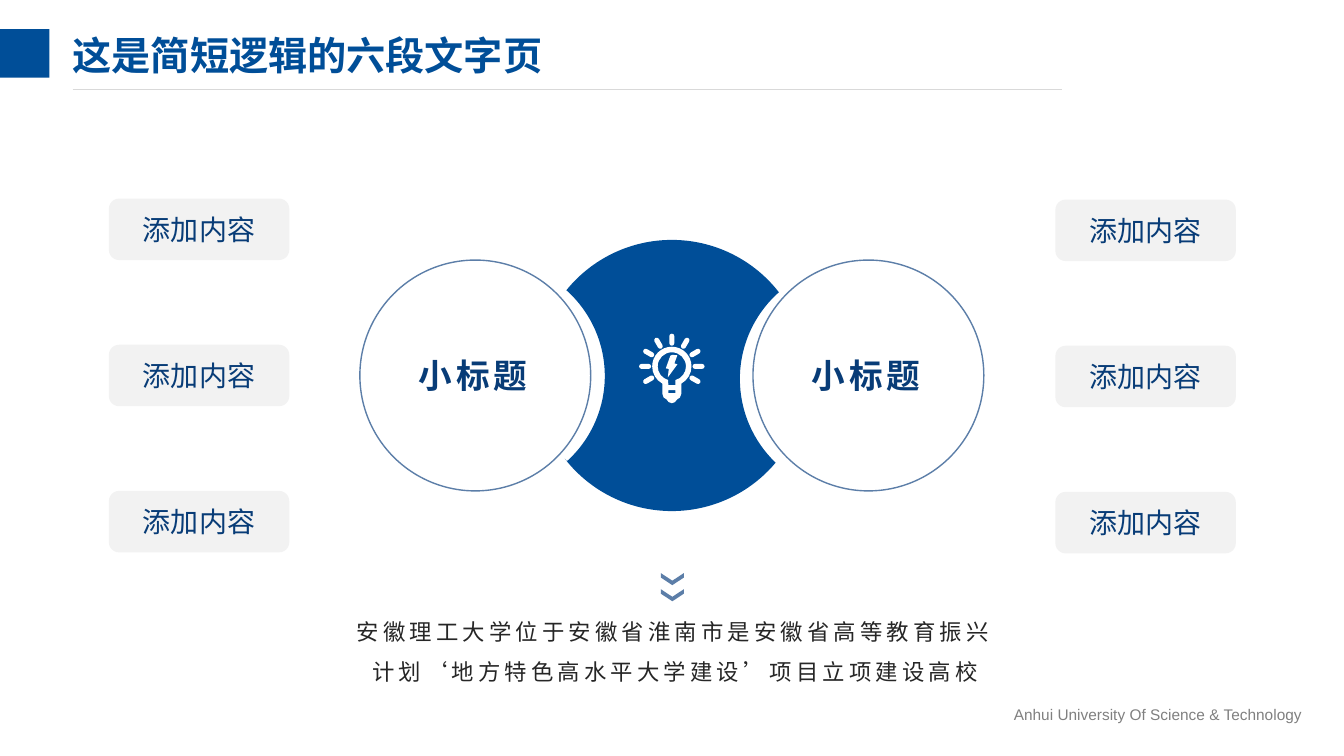
from dataclasses import dataclass
from math import acos, atan2, ceil, cos, degrees, floor, hypot, radians, sin, tan

from lxml import etree
from pptx import Presentation
from pptx.dml.color import RGBColor
from pptx.enum.shapes import MSO_CONNECTOR, MSO_SHAPE
from pptx.enum.text import MSO_ANCHOR, MSO_AUTO_SIZE, PP_ALIGN
from pptx.oxml.ns import qn
from pptx.util import Emu, Inches, Pt

SCALE = 9144  # EMU in one px, 100 px to the inch
RECT, ROUNDED = MSO_SHAPE.RECTANGLE, MSO_SHAPE.ROUNDED_RECTANGLE
OVAL, CHEVRON = MSO_SHAPE.OVAL, MSO_SHAPE.CHEVRON
STRAIGHT = MSO_CONNECTOR.STRAIGHT
TOP, MIDDLE = MSO_ANCHOR.TOP, MSO_ANCHOR.MIDDLE
LEFT, CENTER = PP_ALIGN.LEFT, PP_ALIGN.CENTER
GROW, FIXED = MSO_AUTO_SIZE.SHAPE_TO_FIT_TEXT, MSO_AUTO_SIZE.NONE


@dataclass(frozen=True)
class Theme:
    blue: str = "004E98"
    navy: str = "083C77"
    steel: str = "5C7EA8"
    rule: str = "D9D9D9"
    pill: str = "F2F2F2"
    ink: str = "262626"
    gray: str = "808080"
    white: str = "FFFFFF"
    title_font: str = "Montserrat"
    chinese_font: str = "Noto Sans CJK SC"
    latin_font: str = "Arial"
    title_size: int = 28
    ring_size: int = 24
    pill_size: int = 20
    body_size: int = 16
    footer_size: int = 11


THEME = Theme()


def px(value):
    return Emu(round(value * SCALE))


def paint(shape, fill=None, line=None):
    shape.shadow.inherit = False
    if fill:
        shape.fill.solid()
        shape.fill.fore_color.rgb = RGBColor.from_string(fill)
    else:
        shape.fill.background()
    if line:
        shape.line.color.rgb = RGBColor.from_string(line)
        shape.line.width = Pt(1)
    else:
        shape.line.fill.background()
    return shape


def add_shape(page, kind, box, fill=None, line=None):
    return paint(page.shapes.add_shape(kind, *map(px, box)), fill, line)


def write(frame, text, font, size, color, bold=False, align=LEFT, spacing=None, tracking=0):
    para = frame.paragraphs[0]
    para.text = text
    para.alignment = align
    if spacing:
        para.line_spacing = spacing
    para.font.name = font
    para.font.size = Pt(size)
    para.font.bold = bold
    para.font.color.rgb = RGBColor.from_string(color)
    properties = para.font._rPr
    if tracking:
        properties.set("spc", str(tracking * 100))
    east_asian = etree.Element(qn("a:ea"), typeface=THEME.chinese_font)
    properties.find(qn("a:latin")).addnext(east_asian)


def add_text(page, box, text, font, size, color, inset=0, wrap=True, fit=GROW, anchor=TOP, **style):
    frame = page.shapes.add_textbox(*map(px, box)).text_frame
    frame.margin_left = frame.margin_right = px(2 * inset)
    frame.margin_top = frame.margin_bottom = px(inset)
    frame.word_wrap = wrap
    frame.auto_size = fit
    frame.vertical_anchor = anchor
    write(frame, text, font, size, color, **style)


def lines(*points):
    return [(point,) for point in points]


def arc(x, y, radius, start, end):
    """Curve steps cut at each quarter turn; degrees run clockwise from the right."""
    low, high = sorted((start, end))
    quarters = [90 * i for i in range(floor(low / 90) + 1, ceil(high / 90))]
    stops = sorted([start, *quarters, end], reverse=end < start)

    def at(angle, pull=0):
        c, s = cos(radians(angle)), sin(radians(angle))
        return x + radius * (c - pull * s), y + radius * (s + pull * c)

    steps = lines(at(start))
    for a, b in zip(stops, stops[1:]):
        pull = 4 / 3 * tan(radians(b - a) / 4)
        steps.append((at(a, pull), at(b, -pull), at(b)))
    return steps


def move(contour, x, y, angle=0):
    c, s = cos(radians(angle)), sin(radians(angle))
    return [tuple((x + a * c - b * s, y + a * s + b * c) for a, b in step) for step in contour]


def add_outline(page, contours, fill):
    """Contours are lists of steps: one point for a line, three for a curve."""
    contours = [[[(px(x), px(y)) for x, y in step] for step in contour] for contour in contours]
    builder = page.shapes.build_freeform(*contours[0][0][-1], scale=1.0)
    for index, contour in enumerate(contours):
        if index:
            builder.move_to(*contour[0][-1])
        builder.add_line_segments([step[-1] for step in contour[1:]], close=True)
    shape = paint(builder.convert_to_shape(), fill)
    segments = list(shape._element.iter(qn("a:lnTo")))
    steps = [step for contour in contours for step in contour[1:]]
    for segment, step in zip(segments, steps):
        if len(step) == 3:
            curve = etree.Element(qn("a:cubicBezTo"))
            for x, y in step:
                etree.SubElement(curve, qn("a:pt"), x=str(x - shape.left), y=str(y - shape.top))
            segment.getparent().replace(segment, curve)


def header(page, box, title):
    left, top, _, _ = box
    add_shape(page, RECT, (left - 74, top + 8, 51, 48), THEME.blue)
    rule = page.shapes.add_connector(
        STRAIGHT, px(left), px(top + 68), px(left + 982), px(top + 68))
    rule.line.color.rgb = RGBColor.from_string(THEME.rule)
    rule.line.width = Pt(0.5)
    etree.SubElement(rule._element.spPr, qn("a:effectLst"))
    add_text(page, box, title, THEME.title_font, THEME.title_size, THEME.blue,
             fit=FIXED, anchor=MIDDLE, bold=True, spacing=0.9)


def hub(page, box, bites):
    """A disc with a round bite taken from each side."""
    left, top, size, _ = box
    radius = size / 2
    x, y = left + radius, top + radius
    outline = []
    for bite_x, bite_y, bite_radius in bites:
        away = hypot(bite_x - x, bite_y - y)
        heading = degrees(atan2(bite_y - y, bite_x - x)) % 360
        half = degrees(acos((away**2 + radius**2 - bite_radius**2) / (2 * away * radius)))
        bite_half = degrees(acos((away**2 + bite_radius**2 - radius**2) / (2 * away * bite_radius)))
        back = heading + 180
        outline += arc(bite_x, bite_y, bite_radius, back + bite_half, back - bite_half)
        outline += arc(x, y, radius, heading + half, back - half)[1:]
    add_outline(page, [outline], THEME.blue)


def bulb_icon(page, box):
    left, top, width, _ = box
    x, y = left + width / 2, top + width / 2
    base = [(9.5, 27), (8, 31), (5.5, 32.5), (3, 35.5), (0, 36.5)]
    mirrored = [(-a, b) for a, b in reversed(base[:-1])]
    glass = arc(0, 0, 19.5, 119, 421) + lines(*base, *mirrored)
    hollow = arc(0, 0, 14, 105, 435) + lines((3.5, 18.5), (-3.5, 18.5))
    bolt = lines((0.5, -11.5), (5.5, -11), (2.5, -3), (5.5, -2),
                 (-4, 11), (-3, 2.5), (-6, 2), (-1.5, -10.5))
    slot = lines((-3.5, 23.5), (3.5, 23.5), (3.5, 26.5), (-3.5, 26.5))
    # Nine rays, 30 degrees apart
    ray = arc(30, 0, 2.5, -90, 90) + arc(23, 0, 2.5, 90, 270)
    rays = [move(ray, 0, 0, angle) for angle in range(-210, 31, 30)]
    contours = [glass, hollow, bolt, slot, *rays]
    add_outline(page, [move(contour, x, y) for contour in contours], THEME.white)


def ring(page, box, label):
    left, top, _, _ = box
    add_shape(page, OVAL, box, line=THEME.steel)
    add_text(page, (left + 58, top + 94, 114, 40), label, THEME.chinese_font,
             THEME.ring_size, THEME.navy, wrap=False, bold=True, tracking=3)


def pill_column(page, box, labels):
    left, top, width, height = box
    pill_height = 61
    step = (height - pill_height) / (len(labels) - 1)
    for row, label in enumerate(labels):
        pill = add_shape(page, ROUNDED, (left, top + row * step, width, pill_height), THEME.pill)
        pill.text_frame.vertical_anchor = MIDDLE
        write(pill.text_frame, label, THEME.latin_font, THEME.pill_size, THEME.navy, align=CENTER)


def summary(page, box, text):
    _, top, _, _ = box
    add_text(page, box, text, THEME.chinese_font, THEME.body_size, THEME.ink,
             align=CENTER, spacing=1.5, tracking=3)
    # Two chevrons pointing down at the text
    for rise in (37, 21):
        chevron = add_shape(page, CHEVRON, (661, top - rise, 12, 23), THEME.steel)
        chevron.adjustments[0] = 0.63
        chevron.rotation = 90


def main():
    deck = Presentation()
    deck.slide_width, deck.slide_height = Inches(40 / 3), Inches(7.5)
    page = deck.slides.add_slide(deck.slide_layouts[6])
    add_text(page, (996, 695, 314, 29), "Anhui University Of Science & Technology",
             THEME.latin_font, THEME.footer_size, THEME.gray, inset=5, wrap=False)
    header(page, (72, 21, 951, 73), "这是简短逻辑的六段文字页")
    # Centre: hub between two rings
    hub(page, (532, 238, 269, 269), [(486, 373, 114), (849, 376, 115)])
    for left in (747, 357):
        ring(page, (left, 258, 229, 229), "小标题")
    bulb_icon(page, (634, 331, 65, 69))
    # Sides: three labels each
    for left, top in ((1047, 198), (108, 197)):
        pill_column(page, (left, top, 179, 351), ["添加内容"] * 3)
    summary(page, (352, 600, 636, 76),
            "安徽理工大学位于安徽省淮南市是安徽省高等教育振兴计划‘地方特色高水平大学建设’项目立项建设高校")
    deck.save("out.pptx")


if __name__ == "__main__":
    main()
